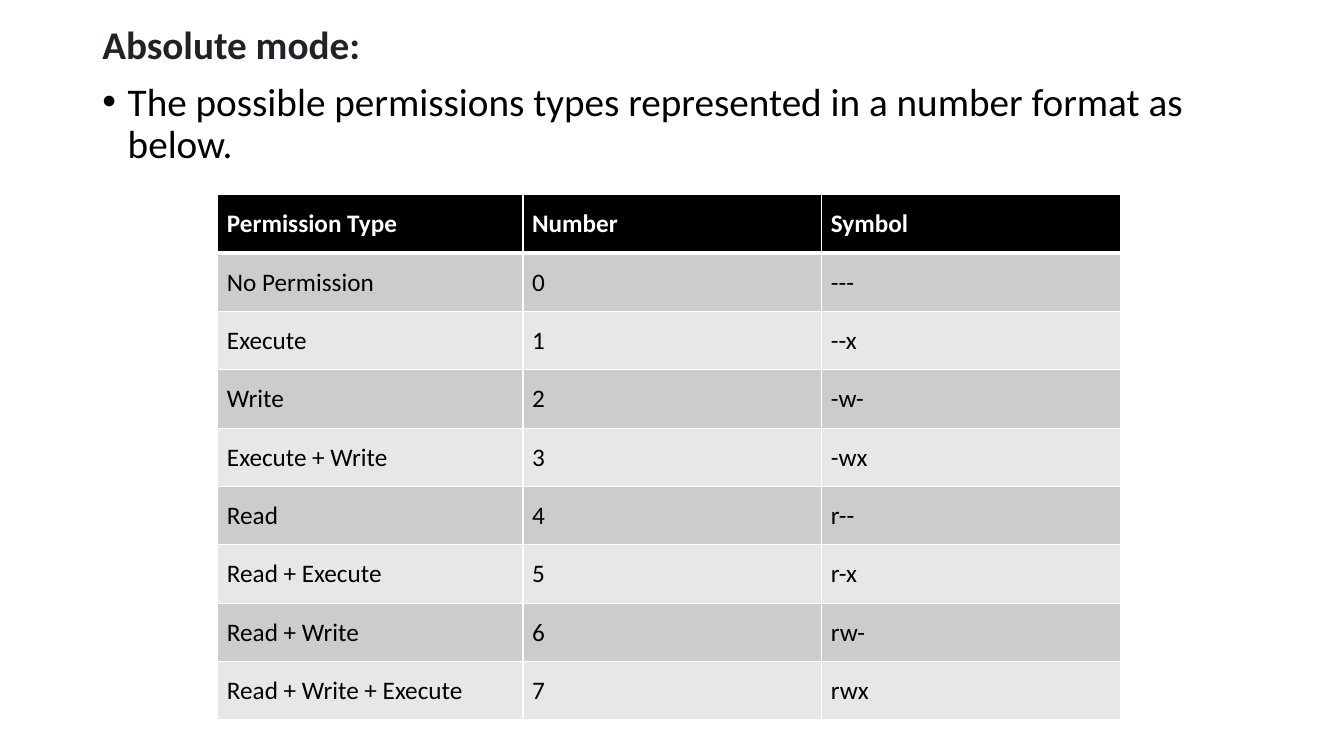
from dataclasses import dataclass

from lxml.etree import SubElement
from pptx import Presentation
from pptx.dml.color import RGBColor
from pptx.enum.text import MSO_ANCHOR
from pptx.oxml.ns import qn
from pptx.slide import Slide
from pptx.table import _Cell
from pptx.text.text import _Paragraph
from pptx.util import Cm, Pt

FONT = "Calibri"
COLORS = {
    "heading": "1F2328",
    "text": "000000",
    "header_fill": "000000",
    "header_text": "FFFFFF",
    "odd_row": "CCCCCC",
    "even_row": "E7E7E7",
    "border": "FFFFFF",
}


@dataclass
class Permission:
    name: str
    number: int
    symbol: str


HEADERS = ("Permission Type", "Number", "Symbol")
PERMISSIONS = [
    Permission("No Permission", 0, "---"),
    Permission("Execute", 1, "--x"),
    Permission("Write", 2, "-w-"),
    Permission("Execute + Write", 3, "-wx"),
    Permission("Read", 4, "r--"),
    Permission("Read + Execute", 5, "r-x"),
    Permission("Read + Write", 6, "rw-"),
    Permission("Read + Write + Execute", 7, "rwx"),
]
COLUMN_WIDTHS = (Cm(7.69), Cm(7.53), Cm(7.53))
ROW_HEIGHT = Cm(1.47)


def style_paragraph(paragraph: _Paragraph, size: int, color: str, bold: bool) -> None:
    font = paragraph.font
    font.name = FONT
    font.size = Pt(size)
    font.bold = bold
    font.color.rgb = RGBColor.from_string(COLORS[color])


def add_bullet(paragraph: _Paragraph) -> None:
    properties = paragraph._p.get_or_add_pPr()
    indent = Cm(0.64)
    properties.set("marL", str(indent))
    properties.set("indent", str(-indent))
    SubElement(properties, qn("a:buFont"), typeface="Arial")
    SubElement(properties, qn("a:buChar"), char="•")


def add_introduction(slide: Slide) -> None:
    box = slide.shapes.add_textbox(Cm(2.33), Cm(0.53), Cm(29.21), Cm(16.61))
    frame = box.text_frame
    frame.word_wrap = True
    heading = frame.paragraphs[0]
    heading.text = "Absolute mode:"
    explanation = frame.add_paragraph()
    explanation.text = (
        "The possible permissions types represented in a number format as below."
    )
    for paragraph in (heading, explanation):
        paragraph.line_spacing = 0.9
        paragraph.space_before = Pt(10)
    add_bullet(explanation)
    style_paragraph(heading, 28, "heading", True)
    style_paragraph(explanation, 28, "text", False)


def set_borders(cell: _Cell, top: int, bottom: int) -> None:
    properties = cell._tc.get_or_add_tcPr()
    widths = {"a:lnL": 1, "a:lnR": 1, "a:lnT": top, "a:lnB": bottom}
    for tag, width in widths.items():
        line = SubElement(properties, qn(tag), w=str(Pt(width)))
        fill = SubElement(line, qn("a:solidFill"))
        SubElement(fill, qn("a:srgbClr"), val=COLORS["border"])


def fill_cell(cell: _Cell, text: str, row: int) -> None:
    is_header = row == 0
    cell.text = text
    cell.vertical_anchor = MSO_ANCHOR.MIDDLE
    cell.margin_left = cell.margin_right = Cm(0.23)
    cell.margin_top = cell.margin_bottom = Cm(0.11)
    text_color = "header_text" if is_header else "text"
    style_paragraph(cell.text_frame.paragraphs[0], 18, text_color, is_header)
    # Borders come before the fill in the cell properties
    set_borders(cell, top=3 if row == 1 else 1, bottom=3 if is_header else 1)
    fill_color = "header_fill" if is_header else ("even_row", "odd_row")[row % 2]
    cell.fill.solid()
    cell.fill.fore_color.rgb = RGBColor.from_string(COLORS[fill_color])


def add_permission_table(slide: Slide) -> None:
    rows = [HEADERS] + [(p.name, str(p.number), p.symbol) for p in PERMISSIONS]
    table = slide.shapes.add_table(
        len(rows), len(HEADERS), Cm(5.49), Cm(4.91),
        sum(COLUMN_WIDTHS), ROW_HEIGHT * len(rows),
    ).table
    for column, width in zip(table.columns, COLUMN_WIDTHS):
        column.width = width
    for row, texts in enumerate(rows):
        table.rows[row].height = ROW_HEIGHT
        for column, text in enumerate(texts):
            fill_cell(table.cell(row, column), text, row)


def main() -> None:
    presentation = Presentation()
    presentation.slide_width = Cm(33.87)
    presentation.slide_height = Cm(19.05)
    slide = presentation.slides.add_slide(presentation.slide_layouts[6])

    # Heading and explanation
    add_introduction(slide)

    # Permission numbers and symbols
    add_permission_table(slide)

    presentation.save("out.pptx")


if __name__ == "__main__":
    main()
